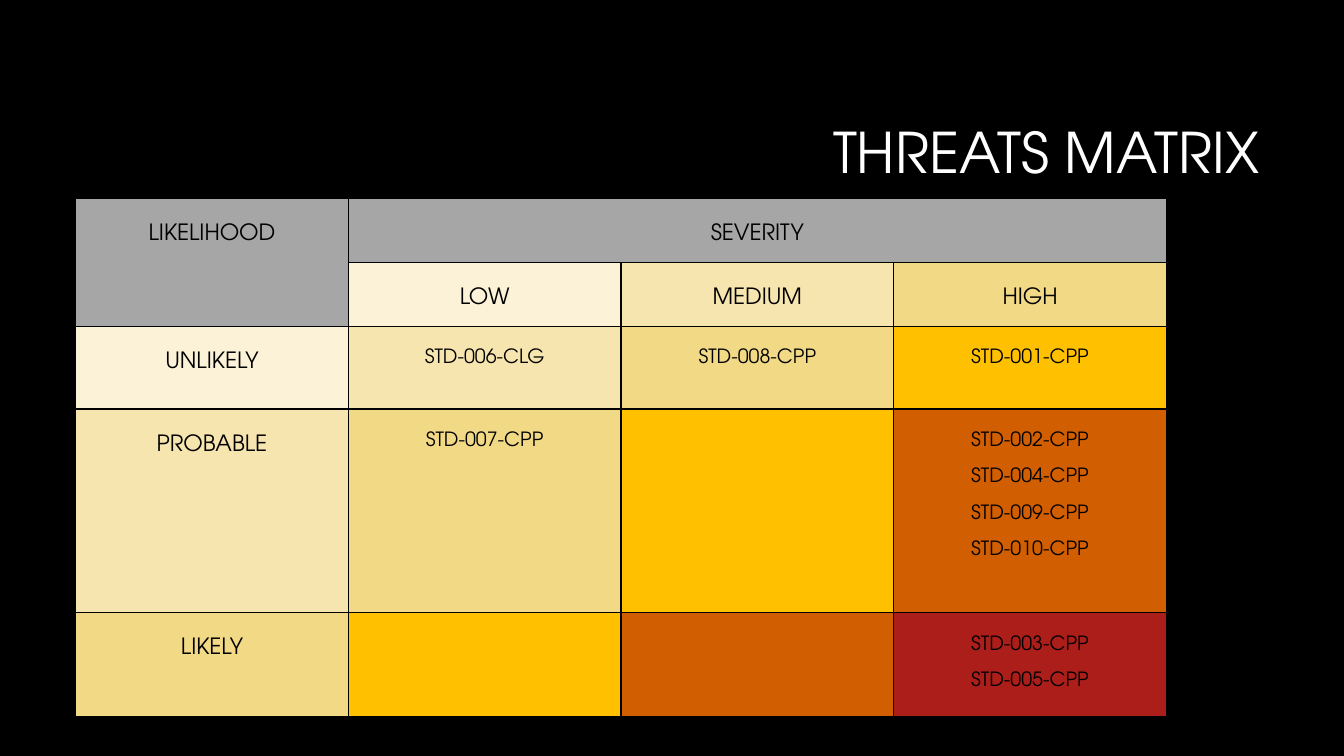
from lxml import etree
from pptx import Presentation
from pptx.dml.color import RGBColor
from pptx.enum.text import MSO_ANCHOR, PP_ALIGN
from pptx.oxml.ns import qn
from pptx.util import Inches, Pt

CENTER = PP_ALIGN.CENTER
RIGHT = PP_ALIGN.RIGHT
MIDDLE = MSO_ANCHOR.MIDDLE

FONT = "TeX Gyre Adventor"
BLACK = "000000"
WHITE = "FFFFFF"
GREY = "A6A6A6"
RISK_COLOURS = ["FBF2D7", "F6E5AE", "F2D986", "FFC000", "D15E01", "AC1E1A"]

ROW_HEIGHTS = [0.57, 0.62, 0.82, 2.02, 0.99]
SEVERITIES = ["LOW", "MEDIUM", "HIGH"]
THREATS = {
    "UNLIKELY": [["STD-006-CLG"], ["STD-008-CPP"], ["STD-001-CPP"]],
    "PROBABLE": [
        ["STD-007-CPP"],
        [],
        ["STD-002-CPP", "STD-004-CPP", "STD-009-CPP", "STD-010-CPP"],
    ],
    "LIKELY": [[], [], ["STD-003-CPP", "STD-005-CPP"]],
}


def colour(value):
    return RGBColor.from_string(value)


def write_lines(frame, lines, size, text_colour, alignment, spacing):
    for index, line in enumerate(lines):
        para = frame.add_paragraph() if index else frame.paragraphs[0]
        para.alignment = alignment
        para.line_spacing = spacing
        span = para.add_run()
        span.text = line
        span.font.name = FONT
        span.font.size = Pt(size)
        span.font.color.rgb = colour(text_colour)


def add_title(page, text):
    box = page.shapes.add_textbox(
        Inches(3.17), Inches(0.84), Inches(9.42), Inches(1.41)
    )
    frame = box.text_frame
    frame.word_wrap = True
    frame.vertical_anchor = MIDDLE
    write_lines(frame, [text], 40, WHITE, RIGHT, 0.9)


def add_borders(cell):
    properties = cell._tc.get_or_add_tcPr()
    for side in ("a:lnL", "a:lnR", "a:lnT", "a:lnB"):
        line = etree.SubElement(properties, qn(side), w=str(Pt(1)))
        fill = etree.SubElement(line, qn("a:solidFill"))
        etree.SubElement(fill, qn("a:srgbClr"), val=BLACK)


def fill_cell(cell, lines, size, fill_colour):
    cell.fill.solid()
    cell.fill.fore_color.rgb = colour(fill_colour)
    write_lines(cell.text_frame, lines, size, BLACK, CENTER, 2.0)


def add_matrix(page):
    table = page.shapes.add_table(
        len(ROW_HEIGHTS), len(SEVERITIES) + 1,
        Inches(0.75), Inches(1.97), Inches(10.82), Inches(sum(ROW_HEIGHTS)),
    ).table
    table.first_row = False
    table.horz_banding = False
    for row, height in zip(table.rows, ROW_HEIGHTS):
        row.height = Inches(height)
        for cell in row.cells:
            add_borders(cell)

    table.cell(0, 0).merge(table.cell(1, 0))
    table.cell(0, 1).merge(table.cell(0, len(SEVERITIES)))
    fill_cell(table.cell(0, 0), ["LIKELIHOOD"], 16, GREY)
    fill_cell(table.cell(0, 1), ["SEVERITY"], 16, GREY)

    for level, severity in enumerate(SEVERITIES):
        fill_cell(table.cell(1, level + 1), [severity], 16, RISK_COLOURS[level])
    for rank, (likelihood, groups) in enumerate(THREATS.items()):
        fill_cell(table.cell(rank + 2, 0), [likelihood], 16, RISK_COLOURS[rank])
        for level, codes in enumerate(groups):
            risk = RISK_COLOURS[rank + level + 1]
            fill_cell(table.cell(rank + 2, level + 1), codes, 14, risk)


def main():
    deck = Presentation()
    deck.slide_width = Inches(13.33)
    deck.slide_height = Inches(7.5)
    page = deck.slides.add_slide(deck.slide_layouts[6])
    page.background.fill.solid()
    page.background.fill.fore_color.rgb = colour(BLACK)
    add_title(page, "THREATS MATRIX")
    add_matrix(page)
    deck.save("out.pptx")


if __name__ == "__main__":
    main()
